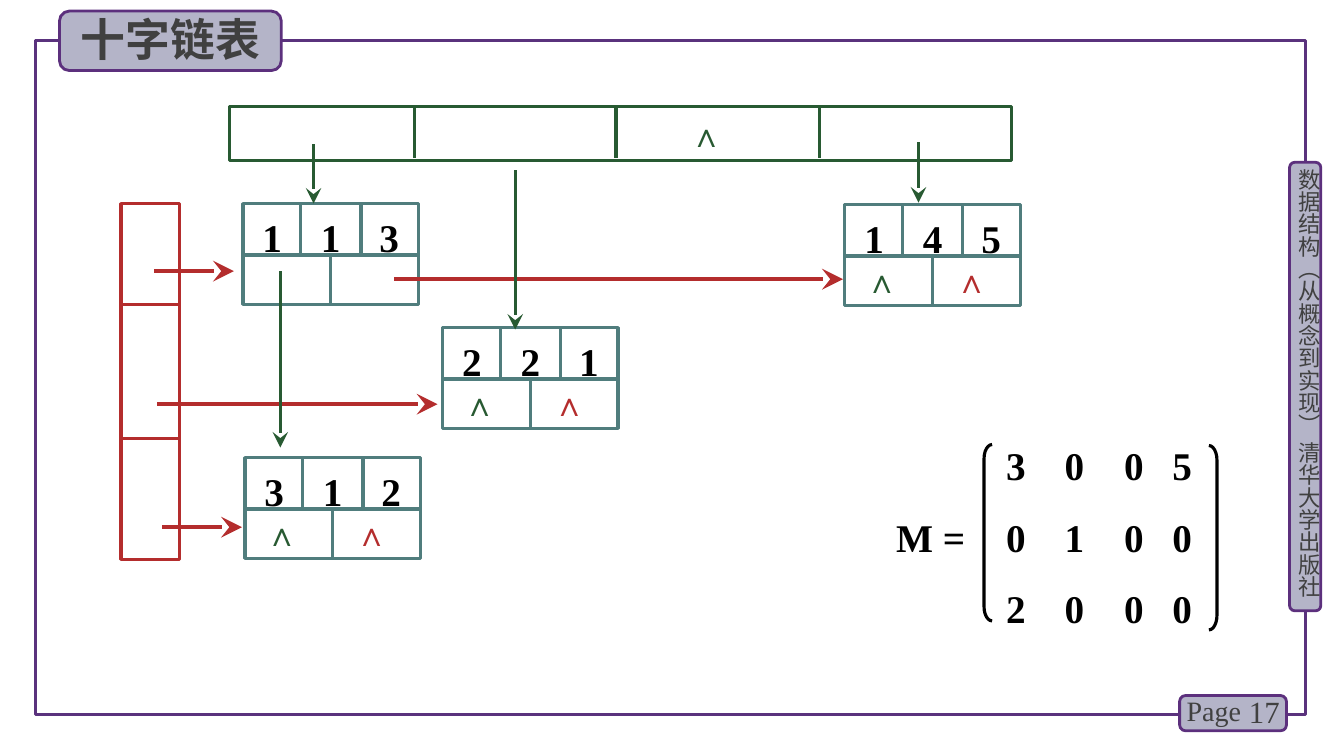
from pptx import Presentation
from pptx.dml.color import RGBColor
from pptx.enum.shapes import MSO_CONNECTOR as Connector, MSO_SHAPE as Shape
from pptx.enum.text import MSO_ANCHOR as Anchor, MSO_AUTO_SIZE as AutoSize, PP_ALIGN as Align
from pptx.oxml.ns import qn
from pptx.util import Inches, Pt
from lxml.etree import SubElement

SERIF, SANS = "Times New Roman", "Noto Sans CJK SC"
BLACK, GREY, LILAC = "000000", "404040", "B4B4C8"
PURPLE, FRAME = "5C307D", "5A327D"
GREEN, RED, TEAL = "285A32", "B42D2D", "507D7D"
NIL = "∧"


def colour(code):
    return RGBColor.from_string(code)


def write(box, text, size=28, font=SERIF, color=BLACK, bold=False, align=Align.LEFT,
          anchor=Anchor.TOP, margins=(0.1, 0.05), tabs=(), tab_align="l", vertical=False):
    """Put one formatted paragraph into a shape; tabs are in inches."""
    frame = box.text_frame
    frame.word_wrap = True
    frame.auto_size = AutoSize.NONE
    frame.vertical_anchor = anchor
    frame.margin_left = frame.margin_right = Inches(margins[0])
    frame.margin_top = frame.margin_bottom = Inches(margins[1])
    if vertical:
        frame._txBody.bodyPr.set("vert", "eaVert")
    para = frame.paragraphs[0]
    para.alignment = align
    if tabs:
        tab_list = SubElement(para._p.get_or_add_pPr(), qn("a:tabLst"))
        for stop in tabs:
            SubElement(tab_list, qn("a:tab"), pos=str(Inches(stop)), algn=tab_align)
    span = para.add_run()
    span.text = text
    span.font.size = Pt(size)
    span.font.bold = bold
    span.font.name = font
    span.font.color.rgb = colour(color)
    SubElement(span._r.get_or_add_rPr(), qn("a:ea"), typeface=font)


def add_text(page, text, left, top, width, height, **style):
    box = page.shapes.add_textbox(Inches(left), Inches(top), Inches(width), Inches(height))
    write(box, text, **style)


def add_outline(page, kind, left, top, width, height, line, weight=2.25, fill=None, adjust=None):
    shape = page.shapes.add_shape(kind, Inches(left), Inches(top), Inches(width), Inches(height))
    shape.shadow.inherit = False
    if fill:
        shape.fill.solid()
        shape.fill.fore_color.rgb = colour(fill)
    else:
        shape.fill.background()
    shape.line.color.rgb = colour(line)
    shape.line.width = Pt(weight)
    if adjust:
        shape.adjustments[0] = adjust
    return shape


def add_badge(page, left, top, width, height):
    add_outline(page, Shape.ROUNDED_RECTANGLE, left, top, width, height, PURPLE, 2, LILAC)


def add_line(page, x1, y1, x2, y2, color, weight=2.25, arrow=False):
    line = page.shapes.add_connector(Connector.STRAIGHT, Inches(x1), Inches(y1),
                                     Inches(x2), Inches(y2))
    line.line.color.rgb = colour(color)
    line.line.width = Pt(weight)
    if arrow:
        SubElement(line.line._get_or_add_ln(), qn("a:tailEnd"), type="stealth", w="lg", len="lg")
    SubElement(line._element.spPr, qn("a:effectLst"))


def add_nil(page, left, top, color):
    add_text(page, NIL, left, top, 0.41, 0.4, size=24, color=color, bold=True, margins=(0, 0))


def add_node(page, left, top, values, ends_lists):
    """A triple (row, column, value) above its down and right pointers."""
    width, height, middle = 1.74, 1, 0.51
    box = add_outline(page, Shape.RECTANGLE, left, top, width, height, TEAL)
    write(box, "".join(f"\t{value}" for value in values), bold=True, margins=(0, 0.1),
          tabs=(0.29, 0.87, 1.45), tab_align="ctr")
    add_line(page, left, top + middle, left + width, top + middle, TEAL)
    for x in (0.57, 1.17):
        add_line(page, left + x, top, left + x, top + middle, TEAL)
    add_line(page, left + width / 2, top + middle, left + width / 2, top + height, TEAL)
    if ends_lists:
        add_nil(page, left + 0.2, top + 0.55, GREEN)
        add_nil(page, left + 1.09, top + 0.55, RED)


def add_page_frame(page):
    add_outline(page, Shape.RECTANGLE, 0.35, 0.4, 12.6, 6.69, FRAME)
    add_badge(page, 12.79, 1.61, 0.31, 4.45)
    add_text(page, "数据结构（从概念到实现） 清华大学出版社", 12.85, 1.67, 0.27, 4.49,
             size=16, font=SANS, color=GREY, margins=(0, 0), vertical=True)
    add_badge(page, 11.7, 6.9, 1.06, 0.35)
    add_text(page, "17", 12.2, 6.86, 0.59, 0.4, size=22, color=GREY,
             align=Align.RIGHT, anchor=Anchor.MIDDLE)
    add_text(page, "Page", 11.67, 6.83, 0.78, 0.44, size=20, color=GREY)


def add_title(page, text):
    add_badge(page, 0.59, 0.11, 2.2, 0.59)
    title = page.shapes.title
    title.left, title.top = Inches(0.7), Inches(0.07)
    title.width, title.height = Inches(2.09), Inches(0.64)
    write(title, text, size=32, font=SANS, color=GREY, bold=True)
    # Bring the title in front of its badge
    page.shapes._spTree.append(title._element)


def add_matrix(page, rows):
    add_text(page, "M =", 8.79, 5.04, 0.9, 0.57, bold=True)
    for index, row in enumerate(rows):
        add_text(page, "\t".join(row), 9.88, 4.33 + 0.71 * index, 2.46, 0.57,
                 bold=True, tabs=(0.58, 1.17, 1.65))
    add_outline(page, Shape.LEFT_BRACKET, 9.76, 4.41, 0.08, 1.75, BLACK, adjust=1.75)
    add_outline(page, Shape.RIGHT_BRACKET, 11.99, 4.42, 0.08, 1.83, BLACK, adjust=1.83)


def main():
    deck = Presentation()
    deck.slide_width, deck.slide_height = Inches(13.33), Inches(7.5)
    page = deck.slides.add_slide(deck.slide_layouts[5])
    add_page_frame(page)
    add_title(page, "十字链表")

    # Column heads
    add_outline(page, Shape.RECTANGLE, 2.28, 1.06, 7.75, 0.53, GREEN)
    for x in (4.11, 6.11, 8.13):
        add_line(page, x, 1.07, x, 1.57, GREEN)
    add_nil(page, 6.84, 1.13, GREEN)

    # Row heads
    add_outline(page, Shape.RECTANGLE, 1.2, 2.02, 0.58, 3.53, RED)
    for y in (3.02, 4.35):
        add_line(page, 1.2, y, 1.78, y, RED)

    # Nodes
    for left, top, values, ends_lists in ((2.41, 2.02, "113", False), (8.38, 2.03, "145", True),
                                          (4.39, 3.25, "221", True), (2.43, 4.54, "312", True)):
        add_node(page, left, top, values, ends_lists)

    # Row pointers
    for x1, x2, y in ((1.53, 2.32, 2.69), (3.91, 8.36, 2.77), (1.56, 4.34, 4.01),
                      (1.61, 2.4, 5.23)):
        add_line(page, x1, y, x2, y, RED, 3, arrow=True)

    # Column pointers
    for x, y1, y2 in ((3.11, 1.43, 2.02), (2.78, 2.69, 4.44), (5.11, 1.69, 3.27),
                      (9.11, 1.41, 2.01)):
        add_line(page, x, y1, x, y2, GREEN, arrow=True)

    add_matrix(page, ("3005", "0100", "2000"))
    deck.save("out.pptx")


if __name__ == "__main__":
    main()
